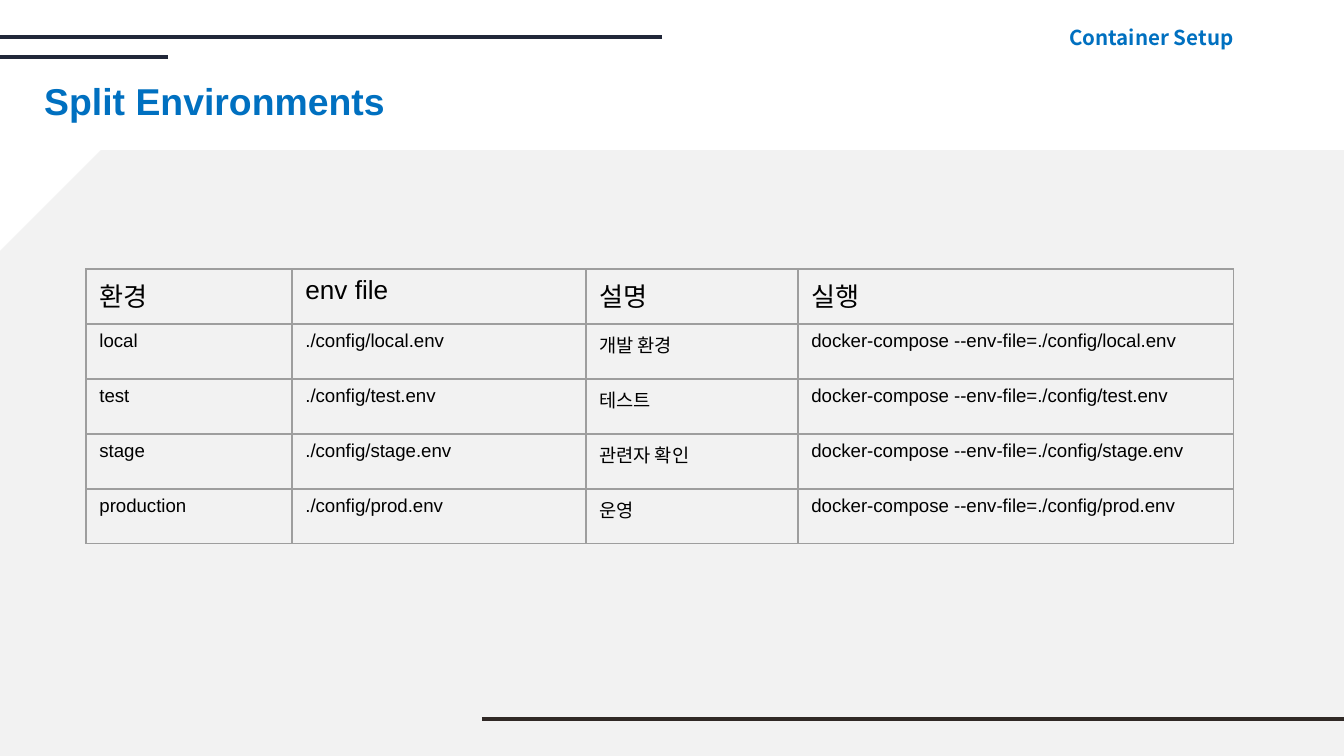
from lxml import etree
from pptx import Presentation
from pptx import util as u
from pptx.dml.color import RGBColor
from pptx.enum import shapes, text
from pptx.oxml.ns import qn

EMU_PER_PX = 914400 / 134.4
BLUE = RGBColor(0x00, 0x70, 0xC0)
NAVY = RGBColor(0x21, 0x27, 0x39)
DARK = RGBColor(0x30, 0x29, 0x26)
PANEL = RGBColor(0xF2, 0xF2, 0xF2)
BORDER = RGBColor(0x9E, 0x9E, 0x9E)
BLACK = RGBColor(0, 0, 0)

HEADER = ("환경", "env file", "설명", "실행")
ENVIRONMENTS = (
    ("local", "local", "개발 환경"),
    ("test", "test", "테스트"),
    ("stage", "stage", "관련자 확인"),
    ("production", "prod", "운영"),
)


def px(value):
    return u.Emu(round(value * EMU_PER_PX))


class SlideBuilder:
    def __init__(self, slide, font="Arial"):
        self.slide = slide
        self.font = font

    def style(self, paragraph, size, color, bold=False, font=None):
        paragraph.font.name = font or self.font
        paragraph.font.size = u.Pt(size)
        paragraph.font.bold = bold
        paragraph.font.color.rgb = color

    def panel(self, left, top, width, height, color, opacity):
        shape = self.slide.shapes.add_shape(
            shapes.MSO_SHAPE.SNIP_2_SAME_RECTANGLE,
            px(left), px(top), px(width), px(height))
        shape.shadow.inherit = False
        shape.line.fill.background()
        shape.fill.solid()
        shape.fill.fore_color.rgb = color
        color_element = shape._element.spPr.find(".//" + qn("a:srgbClr"))
        etree.SubElement(color_element, qn("a:alpha"), val=str(opacity * 1000))

    def rule(self, start, end, y, color):
        """Draw a horizontal line."""
        line = self.slide.shapes.add_connector(
            shapes.MSO_CONNECTOR.STRAIGHT, px(start), px(y), px(end), px(y))
        line.line.color.rgb = color
        line.line.width = u.Pt(2.25)
        etree.SubElement(line._element.spPr, qn("a:effectLst"))

    def heading(self, content, left, top, width, height, size,
                align=text.PP_ALIGN.LEFT, font=None):
        box = self.slide.shapes.add_textbox(px(left), px(top), px(width), px(height))
        frame = box.text_frame
        frame.word_wrap = True
        frame.vertical_anchor = text.MSO_ANCHOR.MIDDLE
        frame.margin_left = frame.margin_right = u.Inches(0.1)
        frame.margin_top = frame.margin_bottom = u.Inches(0.1)
        paragraph = frame.paragraphs[0]
        paragraph.text = content
        paragraph.alignment = align
        self.style(paragraph, size, BLUE, bold=True, font=font)

    def borders(self, cell):
        properties = cell._tc.get_or_add_tcPr()
        for position, side in enumerate(("lnL", "lnR", "lnT", "lnB")):
            line = etree.Element(qn("a:" + side), w=str(u.Pt(0.75)))
            fill = etree.SubElement(line, qn("a:solidFill"))
            etree.SubElement(fill, qn("a:srgbClr"), val=str(BORDER))
            properties.insert(position, line)

    def table(self, rows, left, top, widths, row_height):
        table = self.slide.shapes.add_table(
            len(rows), len(widths), px(left), px(top),
            px(sum(widths)), px(row_height * len(rows))).table
        table.first_row = table.horz_banding = False
        for column, width in zip(table.columns, widths):
            column.width = px(width)
        for row_index, row in enumerate(rows):
            table.rows[row_index].height = px(row_height)
            for column_index, content in enumerate(row):
                cell = table.cell(row_index, column_index)
                cell.fill.background()
                self.borders(cell)
                paragraph = cell.text_frame.paragraphs[0]
                paragraph.text = content
                self.style(paragraph, 10 if row_index else 14, BLACK)


def main():
    presentation = Presentation()
    presentation.slide_width, presentation.slide_height = px(1344), px(756)
    slide = presentation.slides.add_slide(presentation.slide_layouts[6])
    builder = SlideBuilder(slide)

    builder.panel(0, 150, 1457, 606, PANEL, opacity=94)
    builder.rule(662, -13, 37, NAVY)
    builder.rule(168, -13, 57, NAVY)
    builder.rule(482, 1457, 719, DARK)

    builder.heading("Container Setup", 853, 16, 394, 43, 11,
                    align=text.PP_ALIGN.RIGHT, font="Noto Sans CJK KR")
    builder.heading("Split Environments", 31, 79, 1285, 43, 20)

    rows = [HEADER]
    for name, file_name, description in ENVIRONMENTS:
        env_file = f"./config/{file_name}.env"
        rows.append((name, env_file, description,
                     f"docker-compose --env-file={env_file}"))
    builder.table(rows, 86, 269, widths=(206, 294, 212, 436), row_height=55)

    presentation.save("out.pptx")


if __name__ == "__main__":
    main()
